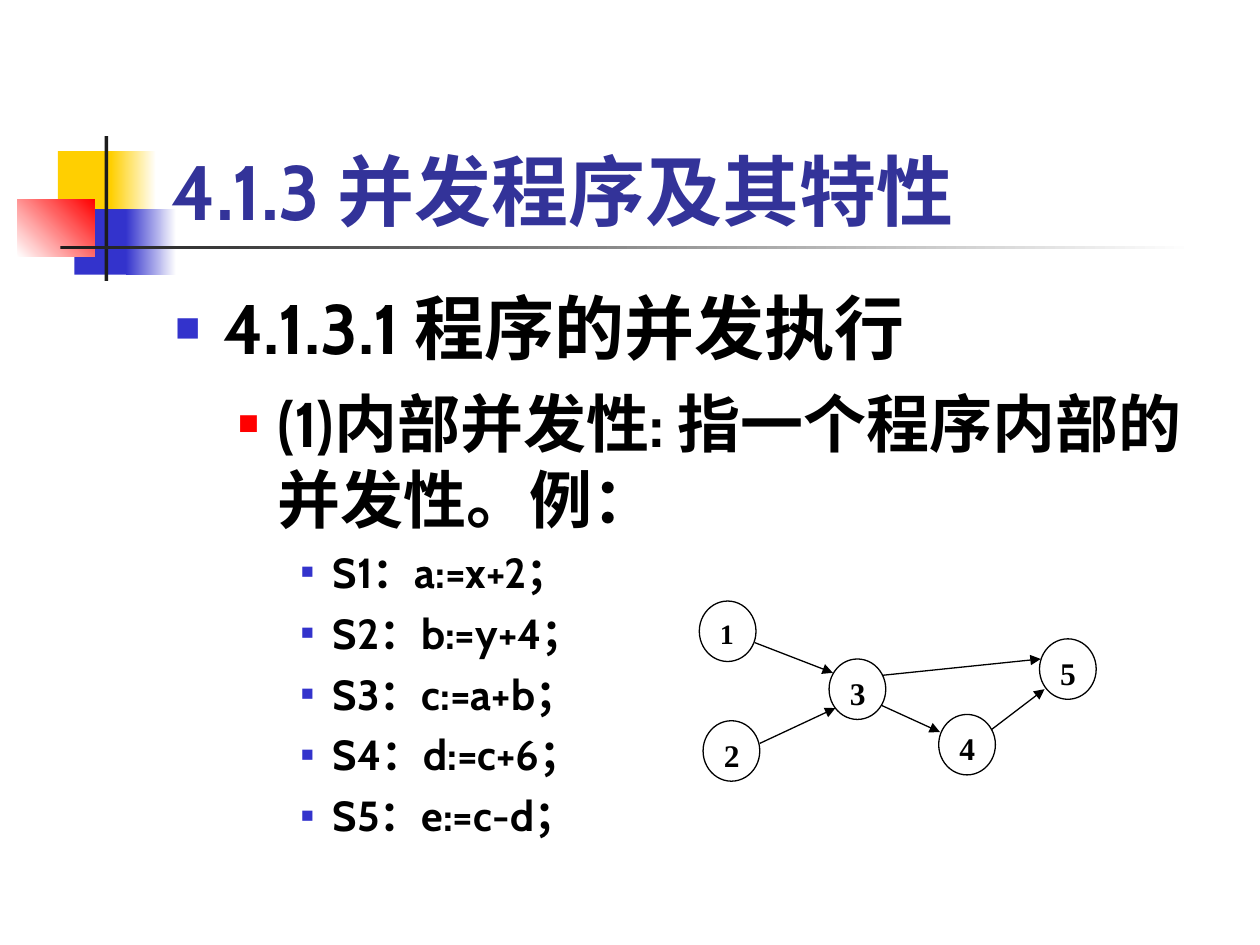
from lxml import etree
from pptx import Presentation
from pptx.dml.color import RGBColor
from pptx.enum.shapes import MSO_CONNECTOR, MSO_SHAPE
from pptx.enum.text import MSO_ANCHOR, MSO_AUTO_SIZE, PP_ALIGN
from pptx.oxml.ns import qn
from pptx.util import Inches, Pt

COLORS = {
    "yellow": "FFCF01", "blue": "3333CC", "red": "FF0000", "dark": "1C1C1C",
    "white": "FFFFFF", "black": "000000", "title": "333399",
}


def rgb(name):
    return RGBColor.from_string(COLORS[name])


def set_font(font, size, color, name="Cabin"):
    values = {"name": name, "size": Pt(size), "bold": True}
    for key, value in values.items():
        setattr(font, key, value)
    font.color.rgb = rgb(color)


prs = Presentation()
prs.slide_width, prs.slide_height = Inches(10), Inches(7.5)
s = prs.slides.add_slide(prs.slide_layouts[1])

# Corner decoration: left, top, width, height, colours, gradient angle
decoration = [
    (0.46, 1.2, 0.48, 0.52, ["yellow"], 0),
    (0.88, 1.2, 0.36, 0.52, ["yellow", "white"], 0),
    (0.59, 1.66, 0.46, 0.52, ["blue"], 0),
    (1, 1.66, 0.4, 0.52, ["blue", "white"], 0),
    (0.14, 1.58, 0.61, 0.46, ["white", "red"], 45),
    (0.83, 1.08, 0.03, 1.15, ["dark"], 0),
    (0.48, 1.95, 9, 0.03, ["dark", "white"], 0),
]
for *box, fills, angle in decoration:
    sp = s.shapes.add_shape(MSO_SHAPE.RECTANGLE, *map(Inches, box))
    sp.shadow.inherit = False
    sp.line.fill.background()
    if len(fills) == 1:
        sp.fill.solid()
        sp.fill.fore_color.rgb = rgb(fills[0])
    else:
        sp.fill.gradient()
        sp.fill.gradient_angle = angle
        for stop, color in zip(sp.fill.gradient_stops, fills):
            stop.color.rgb = rgb(color)

# Title and body placeholders
title, body = s.shapes.title, s.placeholders[1]
placeholders = [
    (title, (1.26, 0.67, 8.52, 1.25), MSO_ANCHOR.BOTTOM),
    (body, (1.29, 2.21, 8.5, 4.5), MSO_ANCHOR.TOP),
]
for sp, box, anchor in placeholders:
    sp.left, sp.top, sp.width, sp.height = map(Inches, box)
    tf = sp.text_frame
    tf.word_wrap = True
    tf.auto_size = MSO_AUTO_SIZE.NONE
    tf.vertical_anchor = anchor

p = title.text_frame.paragraphs[0]
p.text = "4.1.3 并发程序及其特性"
p.alignment = PP_ALIGN.LEFT
set_font(p.runs[0].font, 44, "title")

# Bulleted list: size, space before, indent, hanging, bullet colour, bullet percent
levels = [
    (40, 0, 0.38, 0.38, "blue", 60),
    (36, 9, 0.81, 0.31, "red", 55),
    (24, 6, 1.25, 0.25, "blue", 50),
]
items = [
    (0, "4.1.3.1 程序的并发执行"),
    (1, "(1)内部并发性: 指一个程序内部的并发性。例："),
    (2, "S1：a:=x+2；"),
    (2, "S2：b:=y+4；"),
    (2, "S3：c:=a+b；"),
    (2, "S4：d:=c+6；"),
    (2, "S5：e:=c-d；"),
]
tf = body.text_frame
for i, (level, text) in enumerate(items):
    size, before, indent, hanging, color, percent = levels[level]
    p = tf.paragraphs[0] if i == 0 else tf.add_paragraph()
    p.text = text
    p.level = level
    p.space_before = Pt(before)
    pPr = p._p.get_or_add_pPr()
    pPr.set("marL", str(Inches(indent)))
    pPr.set("indent", str(-Inches(hanging)))
    bullet_color = etree.SubElement(pPr, qn("a:buClr"))
    etree.SubElement(bullet_color, qn("a:srgbClr"), val=COLORS[color])
    etree.SubElement(pPr, qn("a:buSzPct"), val=str(percent * 1000))
    etree.SubElement(pPr, qn("a:buChar"), char="■")
    set_font(p.runs[0].font, size, "black")

# Precedence graph: nodes
nodes = [
    ("2", 5.58, 5.72, 18), ("1", 5.55, 4.77, 16), ("4", 7.45, 5.67, 18),
    ("3", 6.58, 5.23, 18), ("5", 8.25, 5.07, 18),
]
for label, left, top, size in nodes:
    sp = s.shapes.add_shape(MSO_SHAPE.OVAL, Inches(left), Inches(top),
                            Inches(0.45), Inches(0.48))
    sp.shadow.inherit = False
    sp.fill.solid()
    sp.fill.fore_color.rgb = rgb("white")
    sp.line.color.rgb = rgb("black")
    sp.line.width = Pt(0.75)
    tf = sp.text_frame
    tf.vertical_anchor = MSO_ANCHOR.TOP
    p = tf.paragraphs[0]
    p.text = label
    p.alignment = PP_ALIGN.JUSTIFY
    set_font(p.runs[0].font, size, "black", "Times New Roman")

# Precedence graph: arrows
arrows = [
    (7, 5.6, 7.46, 5.81),
    (6.03, 5.9, 6.63, 5.62),
    (5.99, 5.1, 6.61, 5.34),
    (7, 5.36, 8.26, 5.23),
    (7.87, 5.79, 8.29, 5.47),
]
for ends in arrows:
    arrow = s.shapes.add_connector(MSO_CONNECTOR.STRAIGHT, *map(Inches, ends))
    arrow.line.color.rgb = rgb("black")
    arrow.line.width = Pt(0.75)
    etree.SubElement(arrow.line._get_or_add_ln(), qn("a:tailEnd"), type="triangle")
    etree.SubElement(arrow._element.spPr, qn("a:effectLst"))

prs.save("out.pptx")
